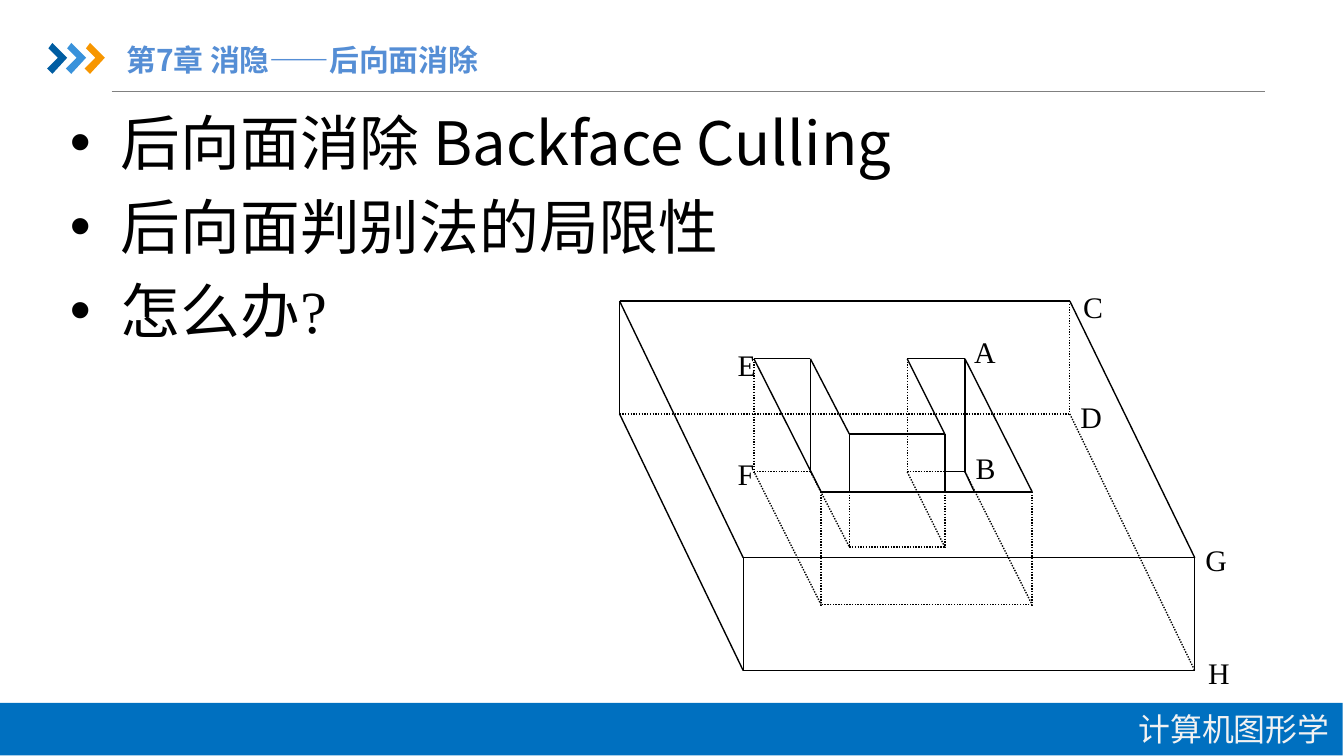
from lxml import etree
from pptx import Presentation
from pptx.dml.color import RGBColor
from pptx.enum.dml import MSO_LINE
from pptx.enum.shapes import MSO_CONNECTOR, MSO_SHAPE
from pptx.enum.text import MSO_ANCHOR, MSO_AUTO_SIZE, PP_ALIGN
from pptx.oxml.ns import qn
from pptx.util import Inches, Pt

STRAIGHT = MSO_CONNECTOR.STRAIGHT
RECTANGLE = MSO_SHAPE.RECTANGLE
DOTTED = MSO_LINE.ROUND_DOT
MIDDLE, TOP = MSO_ANCHOR.MIDDLE, MSO_ANCHOR.TOP
LEFT, RIGHT = PP_ALIGN.LEFT, PP_ALIGN.RIGHT
NO_FIT = MSO_AUTO_SIZE.NONE

WIDTH = 10
HEIGHT = WIDTH * 9 / 16
SANS, SERIF = "Noto Sans CJK SC", "Times New Roman"
COLORS = {
    "rule": "808080", "title": "558ED5", "bar": "0070C0", "bar_text": "F2F2F2",
    "ink": "000000", "navy": "005DA2", "sky": "3992DB", "orange": "F79600",
}

# Solid block with a U-shaped recess: top outlines and common depth
DEPTH = 0.84
BLOCK = [(4.61, 2.24), (7.96, 2.24), (8.89, 4.15), (5.53, 4.15)]
RECESS = [(5.61, 2.67), (6.03, 2.67), (6.32, 3.23), (7.03, 3.23),
          (6.75, 2.67), (7.18, 2.67), (7.68, 3.66), (6.11, 3.66)]
# Visible parts of recess edges that are otherwise hidden
VISIBLE_PARTS = [((6.32, 3.23), (6.32, 3.66)), ((7.03, 3.23), (7.03, 3.66)),
                 ((7.18, 3.51), (7.25, 3.66)), ((7.18, 3.51), (7.03, 3.51))]
VERTEX_LABELS = {
    "A": (7.15, 2.43), "B": (7.16, 3.3), "C": (7.96, 2.1), "D": (7.94, 2.92),
    "E": (5.39, 2.53), "F": (5.39, 3.34), "G": (8.87, 3.98), "H": (8.89, 4.82),
}
TOPICS = [("后向面消除 Backface Culling", SANS),
          ("后向面判别法的局限性", SERIF), ("怎么办?", SERIF)]


def rgb(name):
    return RGBColor.from_string(COLORS[name])


def place(shape, left, top, width, height):
    shape.left, shape.top = Inches(left), Inches(top)
    shape.width, shape.height = Inches(width), Inches(height)


def style(paragraph, size, color, face=SANS, bold=False):
    font = paragraph.font
    font.size, font.name, font.bold = Pt(size), face, bold
    font.color.rgb = rgb(color)
    defaults = paragraph._p.pPr.find(qn("a:defRPr"))
    latin = defaults.find(qn("a:latin"))
    east_asian = etree.Element(qn("a:ea"), typeface=SANS)
    latin.addnext(east_asian)


def add_line(shapes, start, end, color="ink", dotted=False):
    line = shapes.add_connector(STRAIGHT, *map(Inches, start + end))
    line.line.color.rgb = rgb(color)
    line.line.width = Pt(0.75)
    if dotted:
        line.line.dash_style = DOTTED
    etree.SubElement(line._element.spPr, qn("a:effectLst"))


def add_chevron(shapes, left, top, color):
    outline = [(0.01, 0.04), (0.04, 0), (0.15, 0.11),
               (0.04, 0.23), (0, 0.19), (0.08, 0.11)]
    points = [(Inches(left + x), Inches(top + y)) for x, y in outline]
    builder = shapes.build_freeform(*points[0])
    builder.add_line_segments(points[1:])
    chevron = builder.convert_to_shape()
    chevron.fill.solid()
    chevron.fill.fore_color.rgb = rgb(color)
    chevron.line.fill.background()
    chevron.shadow.inherit = False


def add_title(slide):
    title = slide.shapes.title
    place(title, 0.94, 0.24, 4.14, 0.41)
    frame = title.text_frame
    frame.text = "第7章 消隐——后向面消除"
    frame.margin_left = frame.margin_right = 0
    frame.vertical_anchor, frame.auto_size = MIDDLE, NO_FIT
    frame.paragraphs[0].alignment = LEFT
    style(frame.paragraphs[0], 16, "title", bold=True)


def add_topics(slide):
    body = slide.placeholders[1]
    place(body, 0.42, 0.74, 9.12, 4.25)
    frame = body.text_frame
    frame.vertical_anchor, frame.auto_size = TOP, NO_FIT
    frame.text = "\n".join(text for text, _ in TOPICS)
    for index, (paragraph, (_, face)) in enumerate(zip(frame.paragraphs, TOPICS)):
        paragraph.space_before = Pt(6.4 if index else 0)
        properties = paragraph._p.get_or_add_pPr()
        properties.set("marL", str(Inches(0.38)))
        properties.set("indent", str(-Inches(0.38)))
        etree.SubElement(properties, qn("a:buFont"), typeface="Arial")
        etree.SubElement(properties, qn("a:buChar"), char="•")
        style(paragraph, 32, "ink", face)


def add_footer(shapes):
    bar = shapes.add_shape(RECTANGLE, Inches(-0.01), Inches(5.23),
                           Inches(WIDTH), Inches(0.39))
    bar.fill.solid()
    bar.fill.fore_color.rgb = rgb("bar")
    bar.line.fill.background()
    bar.shadow.inherit = False
    frame = bar.text_frame
    frame.text = "计算机图形学"
    frame.vertical_anchor = MIDDLE
    frame.paragraphs[0].alignment = RIGHT
    style(frame.paragraphs[0], 17.1, "bar_text")


def add_prism(shapes, outline, hidden_base, hidden_drops):
    """Draw top edges, base edges and vertical drops, numbered by start vertex."""
    base = [(x, y + DEPTH) for x, y in outline]
    for i, corner in enumerate(outline):
        following = (i + 1) % len(outline)
        add_line(shapes, corner, outline[following])
        add_line(shapes, base[i], base[following], dotted=i in hidden_base)
        add_line(shapes, corner, base[i], dotted=i in hidden_drops)


def add_vertex_label(shapes, letter, left, top):
    label = shapes.add_textbox(Inches(left), Inches(top), Inches(0.31), Inches(0.31))
    label.text_frame.word_wrap = False
    label.text_frame.text = letter
    style(label.text_frame.paragraphs[0], 16, "ink", SERIF)


def main():
    deck = Presentation()
    deck.slide_width, deck.slide_height = Inches(WIDTH), Inches(HEIGHT)
    slide = deck.slides.add_slide(deck.slide_layouts[1])

    # Header and footer
    add_line(slide.shapes, (0.83, 0.68), (9.41, 0.68), "rule")
    for column, color in enumerate(("navy", "sky", "orange")):
        add_chevron(slide.shapes, 0.35 + 0.14 * column, 0.32, color)
    add_title(slide)
    add_footer(slide.shapes)

    # Block with recess
    drawing = slide.shapes.add_group_shape().shapes
    add_prism(drawing, BLOCK, hidden_base={0, 1}, hidden_drops={1})
    add_prism(drawing, RECESS, hidden_base=set(range(8)),
              hidden_drops={0, 2, 3, 4, 6, 7})
    for start, end in VISIBLE_PARTS:
        add_line(drawing, start, end)
    for letter, (left, top) in VERTEX_LABELS.items():
        add_vertex_label(drawing, letter, left, top)

    # Topic list
    add_topics(slide)
    deck.save("out.pptx")


if __name__ == "__main__":
    main()
